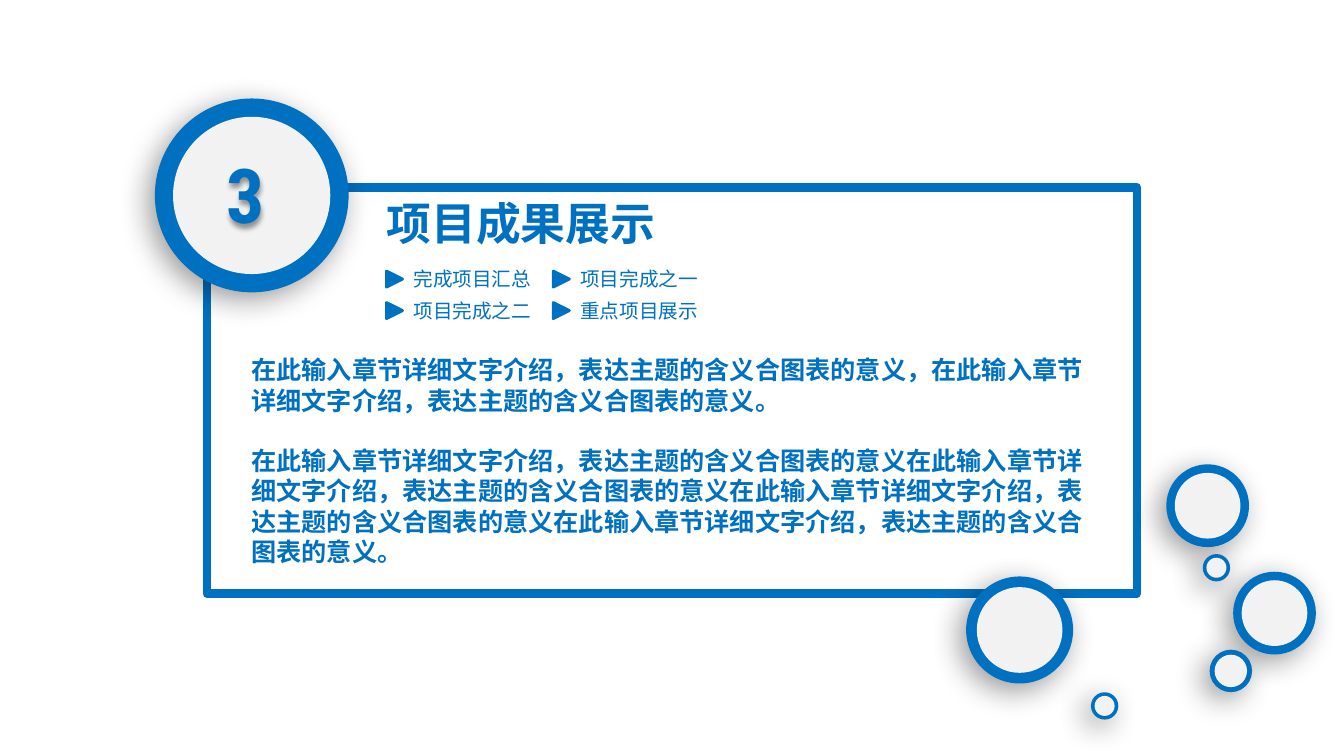
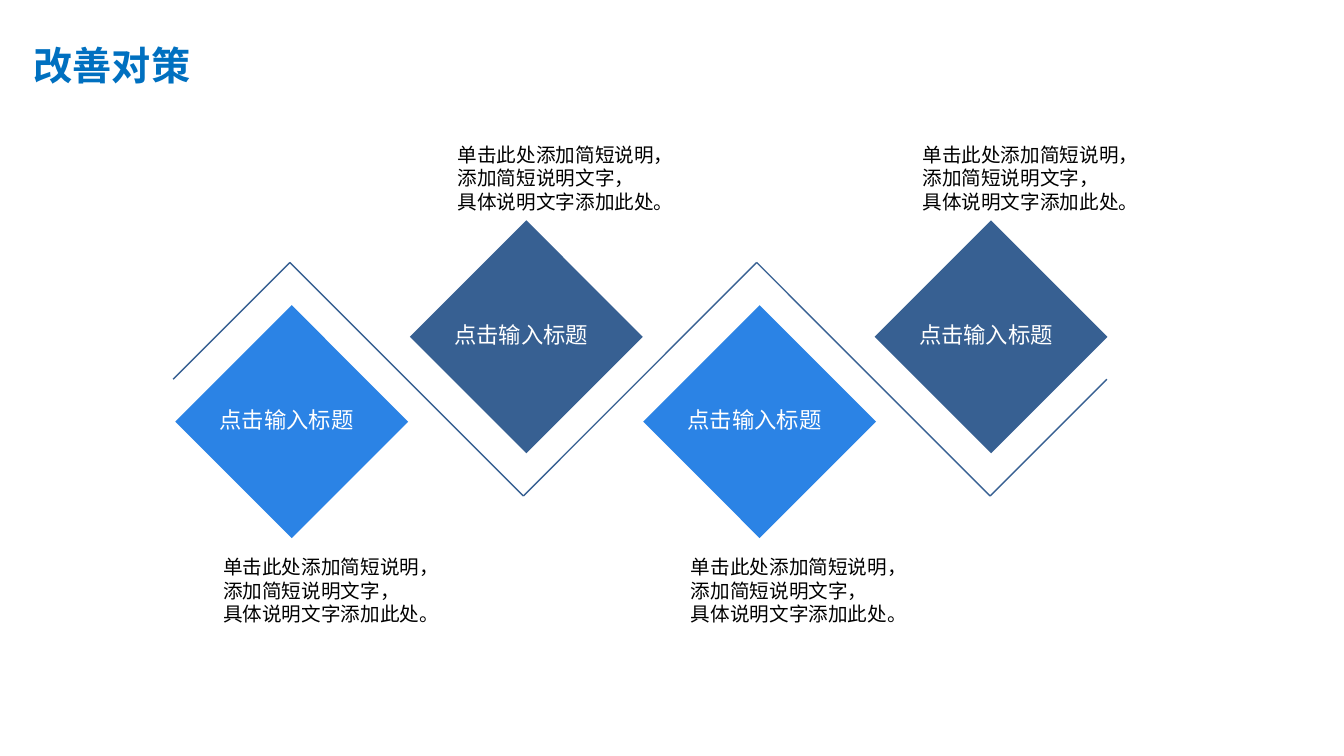
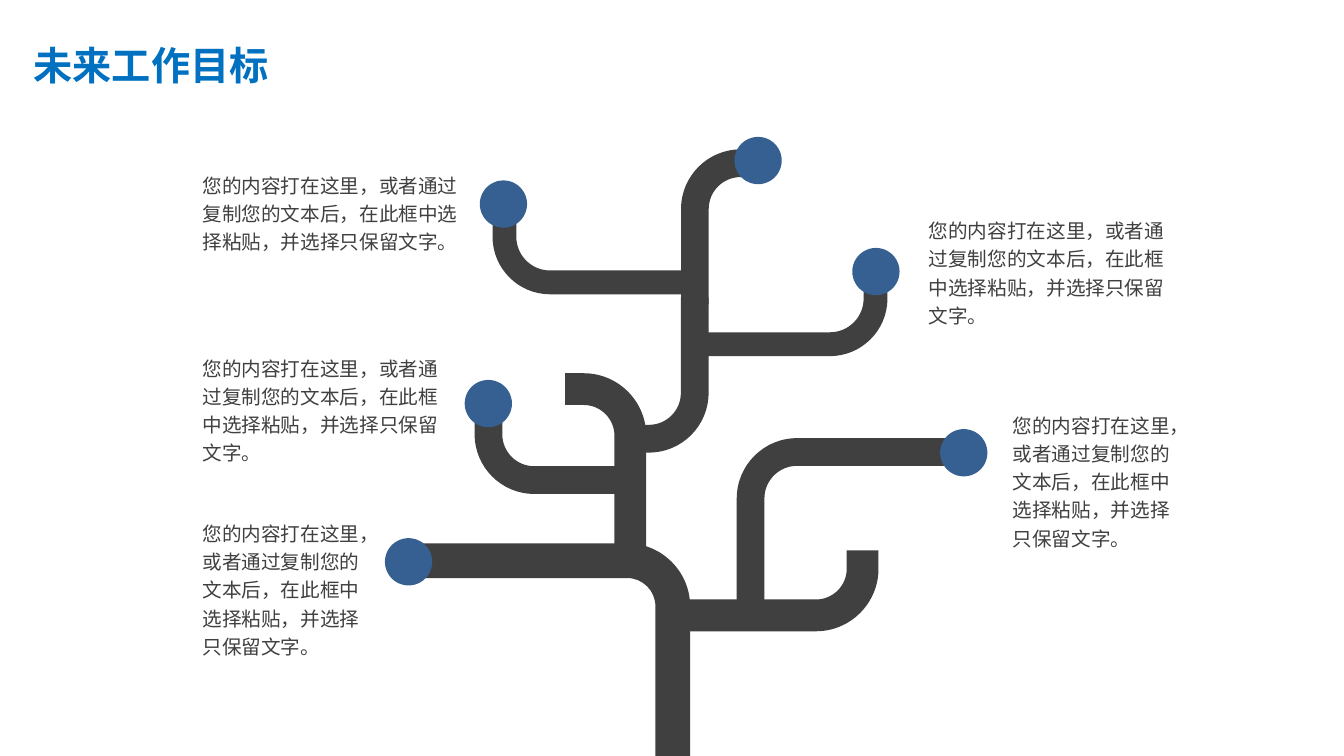
import math
from pptx import Presentation
from pptx import util as u
from pptx.dml.color import RGBColor
from pptx.enum import shapes, text
from pptx.oxml import ns
from lxml import etree

Pt = u.Pt
Preset = shapes.MSO_SHAPE
COLORS = {
    "brand": "0070C0",
    "paper": "F2F2F2",
    "navy": "376092",
    "sky": "2B83E5",
    "branch": "404040",
    "white": "FFFFFF",
    "black": "000000",
}
CJK = "Noto Sans CJK SC"
SLIDE_W, SLIDE_H = 960.48, 540
RING_CORE = 0.825
ARC_PULL = 0.55


def rgb(name):
    return RGBColor.from_string(COLORS[name])


def points(*lengths):
    return [Pt(length) for length in lengths]


def add_shadow(properties, blur, distance, angle):
    effects = properties.find(ns.qn("a:effectLst"))
    if effects is None:
        effects = etree.SubElement(properties, ns.qn("a:effectLst"))
    outer = etree.SubElement(effects, ns.qn("a:outerShdw"), blurRad=str(Pt(blur)),
                             dist=str(Pt(distance)), dir=str(angle * 60000),
                             algn="ctr", rotWithShape="0")
    tint = etree.SubElement(outer, ns.qn("a:srgbClr"), val=COLORS["black"])
    etree.SubElement(tint, ns.qn("a:alpha"), val="40000")


def style(shape, fill=None, line=None, weight=1):
    shape.shadow.inherit = False
    if fill:
        shape.fill.solid()
        shape.fill.fore_color.rgb = rgb(fill)
    else:
        shape.fill.background()
    if line:
        shape.line.color.rgb = rgb(line)
        shape.line.width = Pt(weight)
    else:
        shape.line.fill.background()
    return shape


def add_preset(parent, preset, box, fill=None, line=None, weight=1):
    return style(parent.shapes.add_shape(preset, *points(*box)), fill, line, weight)


def write(frame, lines, size, color, font=CJK, bold=False, insets=(7.2, 3.6),
          align=text.PP_ALIGN.LEFT, gap=0, spacing=None, wrap=True):
    frame.word_wrap = wrap
    frame.margin_left = frame.margin_right = Pt(insets[0])
    frame.margin_top = frame.margin_bottom = Pt(insets[1])
    for index, line in enumerate(lines):
        paragraph = frame.paragraphs[0] if index == 0 else frame.add_paragraph()
        paragraph.alignment = align
        if index and gap:
            paragraph.space_before = Pt(gap)
        if spacing:
            paragraph.line_spacing = spacing
        run = paragraph.add_run()
        run.text = line
        run.font.size = Pt(size)
        run.font.bold = bold
        run.font.color.rgb = rgb(color)
        run.font.name = font
        etree.SubElement(run.font._element, ns.qn("a:ea"), typeface=CJK)


def add_text(parent, box, lines, size, color, **options):
    holder = parent.shapes.add_textbox(*points(*box))
    write(holder.text_frame, lines, size, color, **options)
    return holder


def new_slide(deck, title=None):
    slide = deck.slides.add_slide(deck.slide_layouts[6])
    if title:
        add_text(slide, (17, 25.9, 266.4, 41), [title], 28, "brand", bold=True)
    return slide


def add_ring(slide, left, top, size):
    ring = slide.shapes.add_group_shape()
    rim = add_preset(ring, Preset.OVAL, (left, top, size, size), "brand", "brand", 2.25)
    add_shadow(rim._element.spPr, 22, 7, 135)
    core = size * RING_CORE
    edge = (size - core) / 2
    add_preset(ring, Preset.OVAL, (left + edge, top + edge, core, core), "paper")


def add_topics(slide, left, top, topics):
    for index, topic in enumerate(topics):
        row, column = divmod(index, 2)
        x, y = left + column * 119.2, top + row * 22.5
        arrow = add_preset(slide, Preset.ISOSCELES_TRIANGLE, (x, y + 2.8, 11.5, 11.5),
                           "brand", "brand", 2)
        arrow.rotation = 90
        add_text(slide, (x + 19.3, y, 90, 17.3), [topic], 14, "brand", insets=(0, 0))


def section_slide(deck, number, title, topics, details):
    slide = new_slide(deck)
    left, top, width, height = 147.8, 133.9, 664.6, 290.2
    add_preset(slide, Preset.RECTANGLE, (left, top, width, height), line="brand", weight=6)
    add_ring(slide, left - 36, top - 62.4, 136.2)
    digit = add_text(slide, (left - 30.8, top - 28.1, 117.4, 65.5), [number], 54, "brand",
                     font="Roboto Condensed", bold=True, insets=(0, 0),
                     align=text.PP_ALIGN.CENTER)
    add_shadow(digit._element.spPr, 4, 3, 90)
    add_text(slide, (left + 128.4, top + 5.8, 289.4, 38.9), [title], 32, "brand",
             bold=True, insets=(0, 0))
    add_topics(slide, left + 128.4, top + 56.9, topics)
    add_text(slide, (left + 31.9, top + 119.4, 607, 152.6), details, 18, "brand",
             bold=True, insets=(0, 0), gap=21.6)
    for bubble in ((882.4, 409.5, 56.9), (865.6, 465.2, 28.1), (691.6, 412.9, 74.2),
                   (780.8, 495.6, 17.3), (834.6, 332.8, 56.9), (860.7, 396.9, 17.3)):
        add_ring(slide, *bubble)


def add_zigzag(slide, left, middle, half, count):
    steps = [0, *range(1, 2 * count, 2), 2 * count]
    heights = [0, *((-1) ** (turn + 1) for turn in range(count)), 0]
    nodes = [(left + step * half, middle + height * half)
             for step, height in zip(steps, heights)]
    for start, end in zip(nodes, nodes[1:]):
        stroke = slide.shapes.add_connector(shapes.MSO_CONNECTOR.STRAIGHT,
                                            *points(*start, *end))
        stroke.line.color.rgb = rgb("navy")
        stroke.line.width = Pt(1)
        etree.SubElement(stroke._element.spPr, ns.qn("a:effectLst"))


def add_measure(slide, left, top, size, color, label, note, note_above):
    measure = slide.shapes.add_group_shape()
    add_preset(measure, Preset.DIAMOND, (left, top, size, size), color)
    caption = add_preset(measure, Preset.RECTANGLE,
                         (left + 24.6, top + 68.4, 111.6, 26.6), color)
    caption.text_frame.vertical_anchor = text.MSO_ANCHOR.TOP
    write(caption.text_frame, [label], 16, "white", wrap=False)
    note_height = 60.5
    note_top = top - note_height if note_above else top + size + 7.2
    add_text(slide, (left + 24.7, note_top, 182.9, note_height), note, 14, "black",
             font="Arial", insets=(9.4, 5))


def measures_slide(deck, title, label, note):
    slide = new_slide(deck, title)
    lefts = (125.3, 293, 459.7, 625.1)
    add_zigzag(slide, 123.8, 270.9, 83.4, len(lefts))
    for index, left in enumerate(lefts):
        raised = index % 2 == 1
        add_measure(slide, left, 157.4 if raised else 218, 166.4,
                    "navy" if raised else "sky", label, note, raised)


def bend(straight, corner):
    start = straight.getprevious().find(ns.qn("a:pt"))
    end = straight.find(ns.qn("a:pt"))
    curve = etree.Element(ns.qn("a:cubicBezTo"))
    for anchor in (start, end):
        pulled = {axis: int(anchor.get(axis))
                  + round(ARC_PULL * (corner[axis] - int(anchor.get(axis))))
                  for axis in ("x", "y")}
        etree.SubElement(curve, ns.qn("a:pt"),
                         {axis: str(value) for axis, value in pulled.items()})
    curve.append(end)
    straight.getparent().replace(straight, curve)


def add_branch(slide, corner, tip_x, tip_y, thickness, radius):
    x, y = corner
    toward_x = math.copysign(1, tip_x - x)
    toward_y = math.copysign(1, tip_y - y)
    turn_x, turn_y = x + toward_x * radius, y + toward_y * radius
    inner_x, inner_y = x + toward_x * thickness, y + toward_y * thickness
    outline = [points(*vertex) for vertex in (
        (tip_x, y), (turn_x, y), (x, turn_y), (x, tip_y),
        (inner_x, tip_y), (inner_x, turn_y), (turn_x, inner_y), (tip_x, inner_y))]
    builder = slide.shapes.build_freeform(*outline[0], scale=1.0)
    builder.add_line_segments(outline[1:], close=True)
    branch = style(builder.convert_to_shape(), "branch")
    steps = list(branch._element.spPr.find(".//" + ns.qn("a:path")))
    for step, (corner_x, corner_y) in ((2, (x, y)), (6, (inner_x, inner_y))):
        bend(steps[step], {"x": Pt(corner_x) - branch.left, "y": Pt(corner_y) - branch.top})


def goals_slide(deck, title, goal):
    slide = new_slide(deck, title)
    for branch in (((493.2, 388.1), 290.9, SLIDE_H, 24.8, 45),
                   ((627.8, 450.9), 481, 393.1, 22.7, 44.6),
                   ((634.2, 254.4), 499.7, 199.4, 17, 41),
                   ((461.8, 266.6), 403.9, 401, 22.7, 44.6),
                   ((526.5, 313), 689.8, 443.5, 19.8, 43),
                   ((352, 210.2), 493.2, 155.5, 17, 41),
                   ((339.2, 352.8), 450, 296.6, 19.8, 42.5),
                   ((506.4, 323.3), 450, 212.4, 19.8, 42.5),
                   ((486.7, 106.7), 542.9, 217.4, 19.8, 42.5)):
        add_branch(slide, *branch)
    for left, top in ((275.1, 384.4), (332.1, 271.4), (671.9, 306.5),
                      (609.1, 177.1), (342.9, 128.9), (524.9, 97.8)):
        add_preset(slide, Preset.OVAL, (left, top, 33.8, 33.8), "navy")
    for box in ((137.6, 365.8, 131, 108.7), (137.6, 247.9, 189.4, 88.6),
                (716.6, 288.6, 128.2, 108.7), (656.6, 149.6, 187.9, 88.6),
                (137.6, 117.3, 198.7, 68.4)):
        add_text(slide, box, [goal], 14, "branch", spacing=1.2)


def main():
    deck = Presentation()
    deck.slide_width, deck.slide_height = points(SLIDE_W, SLIDE_H)
    section_slide(
        deck, "3", "项目成果展示",
        ["完成项目汇总", "项目完成之一", "项目完成之二", "重点项目展示"],
        ["在此输入章节详细文字介绍，表达主题的含义合图表的意义，"
         "在此输入章节详细文字介绍，表达主题的含义合图表的意义。",
         "在此输入章节详细文字介绍，表达主题的含义合图表的意义" * 4 + "。"])
    measures_slide(
        deck, "改善对策", "点击输入标题",
        ["单击此处添加简短说明，", "添加简短说明文字，", "具体说明文字添加此处。"])
    goals_slide(
        deck, "未来工作目标",
        "您的内容打在这里，或者通过复制您的文本后，在此框中选择粘贴，并选择只保留文字。")
    deck.save("out.pptx")


if __name__ == "__main__":
    main()
